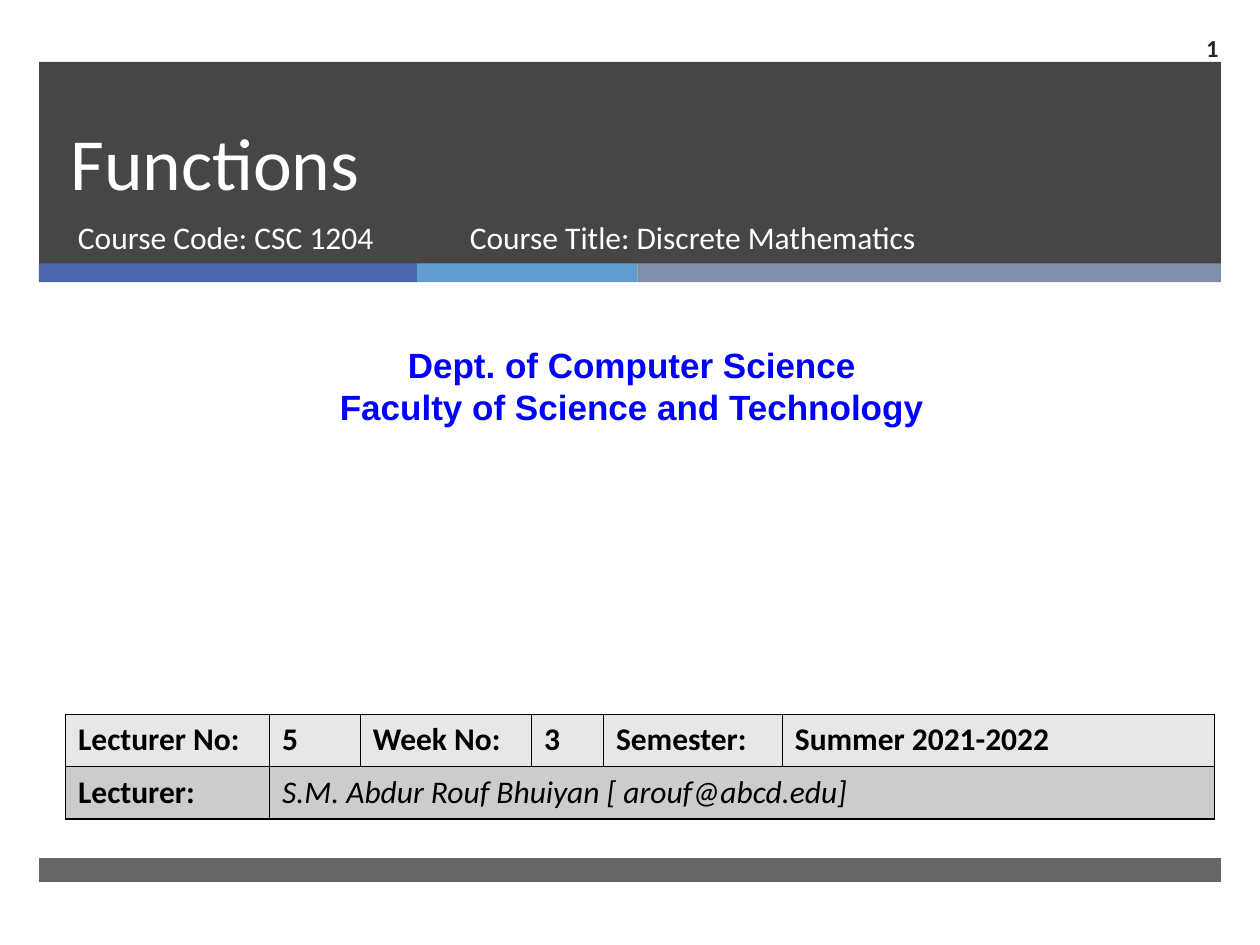
from dataclasses import dataclass

from lxml import etree
from pptx import Presentation
from pptx.dml.color import RGBColor
from pptx.enum.shapes import MSO_SHAPE
from pptx.enum.text import MSO_ANCHOR, PP_ALIGN
from pptx.oxml.ns import qn
from pptx.util import Inches, Pt

RECTANGLE = MSO_SHAPE.RECTANGLE
TOP, MIDDLE, BOTTOM = MSO_ANCHOR.TOP, MSO_ANCHOR.MIDDLE, MSO_ANCHOR.BOTTOM
LEFT, CENTER, RIGHT = PP_ALIGN.LEFT, PP_ALIGN.CENTER, PP_ALIGN.RIGHT

COLORS = {
    "charcoal": "262626",
    "indigo": "4A66AC",
    "sky": "629DD1",
    "slate": "7F8FA9",
    "white": "FFFFFF",
    "blue": "0000FF",
    "black": "000000",
    "light row": "E7E7E7",
    "dark row": "CCCCCC",
}


@dataclass
class Band:
    left: float
    top: float
    width: float
    height: float
    color: str
    opacity: int = 100


@dataclass
class Style:
    size: float
    color: str
    font: str = "Calibri"
    bold: bool = False
    italic: bool = False


@dataclass
class Label:
    left: float
    top: float
    width: float
    height: float
    lines: list[str]
    style: Style
    align: PP_ALIGN = LEFT
    anchor: MSO_ANCHOR = TOP
    line_spacing: float | None = None


BANDS = [
    Band(0.31, 0.49, 9.38, 1.61, "charcoal", 85),
    Band(0.31, 2.09, 3, 0.15, "indigo"),
    Band(3.31, 2.09, 1.75, 0.15, "sky"),
    Band(5.06, 2.09, 4.63, 0.15, "slate"),
    Band(0.31, 6.81, 9.38, 0.19, "charcoal", 70),
]

COURSE = Style(18, "white")
LABELS = [
    Label(0.46, 0.49, 8.54, 1.19, ["Functions"], Style(42, "white"),
          anchor=BOTTOM, line_spacing=46),
    Label(0.52, 1.68, 3.05, 0.53, ["Course Code: CSC 1204"], COURSE),
    Label(3.63, 1.68, 4.55, 0.53, ["Course Title: Discrete Mathematics"], COURSE),
    Label(0.08, 2.68, 9.87, 0.77,
          ["Dept. of Computer Science", "Faculty of Science and Technology"],
          Style(20, "blue", "Arial", bold=True), CENTER),
    Label(9.08, 0.18, 0.69, 0.39, ["1"], Style(14, "charcoal", bold=True),
          RIGHT, MIDDLE),
]

COLUMN_WIDTHS = [1.62, 0.72, 1.36, 0.57, 1.42, 3.43]
ROW_HEIGHT = 0.415
ROW_COLORS = ["light row", "dark row"]
ROWS = [
    ["Lecturer No:", "5", "Week No:", "3", "Semester:", "Summer 2021-2022"],
    ["Lecturer:", "S.M. Abdur Rouf Bhuiyan [ arouf@abcd.edu]"],
]
HEADING = Style(18, "black", bold=True)
LECTURER = Style(18, "black", italic=True)


def rgb(name: str) -> RGBColor:
    return RGBColor.from_string(COLORS[name])


def add_span(para, text: str, style: Style) -> None:
    span = para.add_run()
    span.text = text
    span.font.name = style.font
    span.font.size = Pt(style.size)
    span.font.bold = style.bold
    span.font.italic = style.italic
    span.font.color.rgb = rgb(style.color)


def add_band(page, band: Band) -> None:
    box = page.shapes.add_shape(RECTANGLE, Inches(band.left), Inches(band.top),
                                Inches(band.width), Inches(band.height))
    box.shadow.inherit = False
    box.line.fill.background()
    box.fill.solid()
    box.fill.fore_color.rgb = rgb(band.color)
    if band.opacity < 100:
        color = box.fill._xPr.find(qn("a:solidFill"))[0]
        etree.SubElement(color, qn("a:alpha"), val=str(band.opacity * 1000))


def add_label(page, label: Label) -> None:
    box = page.shapes.add_textbox(Inches(label.left), Inches(label.top),
                                  Inches(label.width), Inches(label.height))
    frame = box.text_frame
    frame.word_wrap = True
    frame.vertical_anchor = label.anchor
    for index, line in enumerate(label.lines):
        para = frame.add_paragraph() if index else frame.paragraphs[0]
        para.alignment = label.align
        if label.line_spacing:
            para.line_spacing = Pt(label.line_spacing)
        add_span(para, line, label.style)


def add_borders(cell) -> None:
    """Draw a 1 pt black line on each side; call before setting the fill."""
    properties = cell._tc.get_or_add_tcPr()
    for side in ("a:lnL", "a:lnR", "a:lnT", "a:lnB"):
        line = etree.SubElement(properties, qn(side), w=str(Pt(1)))
        fill = etree.SubElement(line, qn("a:solidFill"))
        etree.SubElement(fill, qn("a:srgbClr"), val=COLORS["black"])


def add_lecture_table(page) -> None:
    table = page.shapes.add_table(
        len(ROWS), len(COLUMN_WIDTHS), Inches(0.52), Inches(5.67),
        Inches(sum(COLUMN_WIDTHS)), Inches(ROW_HEIGHT * len(ROWS))).table
    for column, width in zip(table.columns, COLUMN_WIDTHS):
        column.width = Inches(width)
    for row, color in zip(table.rows, ROW_COLORS):
        row.height = Inches(ROW_HEIGHT)
        for cell in row.cells:
            add_borders(cell)
            cell.fill.solid()
            cell.fill.fore_color.rgb = rgb(color)
    table.cell(1, 1).merge(table.cell(1, len(COLUMN_WIDTHS) - 1))
    for row_index, texts in enumerate(ROWS):
        for column_index, text in enumerate(texts):
            style = LECTURER if (row_index, column_index) == (1, 1) else HEADING
            para = table.cell(row_index, column_index).text_frame.paragraphs[0]
            add_span(para, text, style)


def main() -> None:
    deck = Presentation()
    deck.slide_width, deck.slide_height = Inches(10), Inches(7.5)
    page = deck.slides.add_slide(deck.slide_layouts[6])
    for band in BANDS:
        add_band(page, band)
    for label in LABELS:
        add_label(page, label)
    add_lecture_table(page)
    deck.save("out.pptx")


if __name__ == "__main__":
    main()
